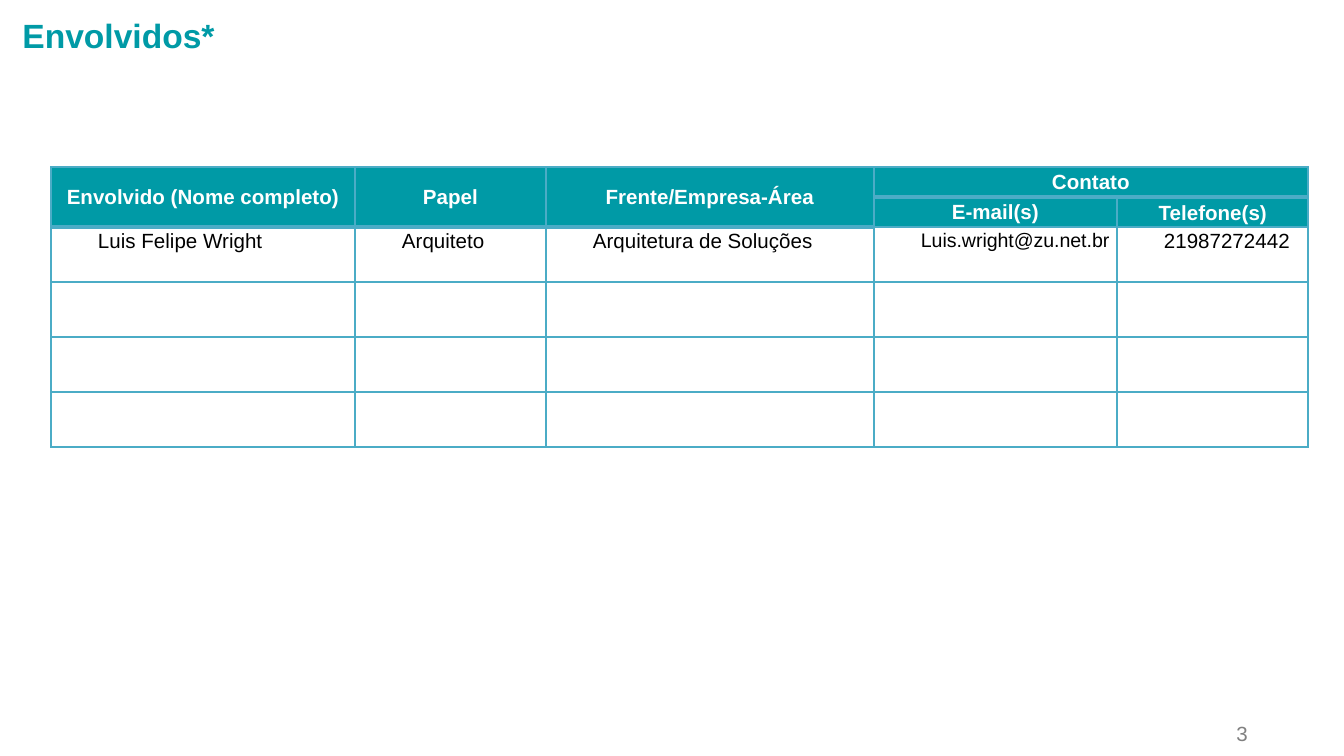
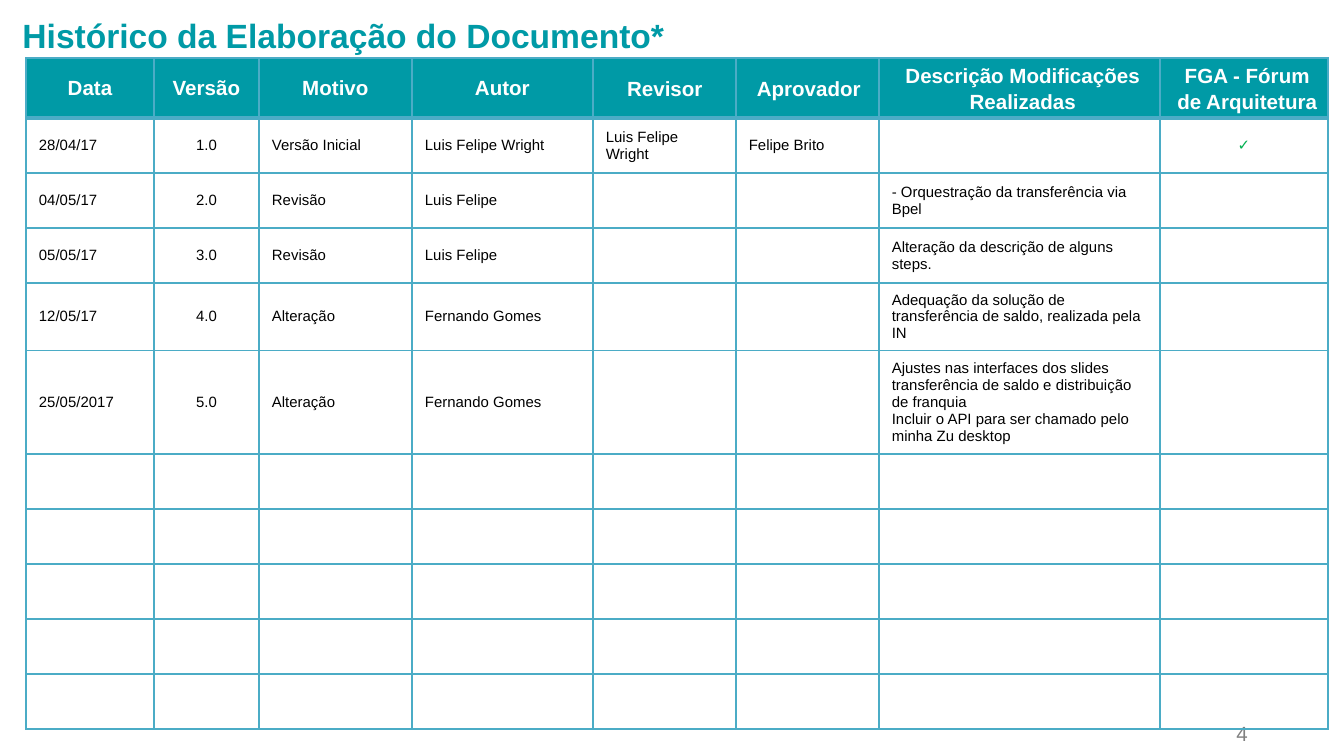
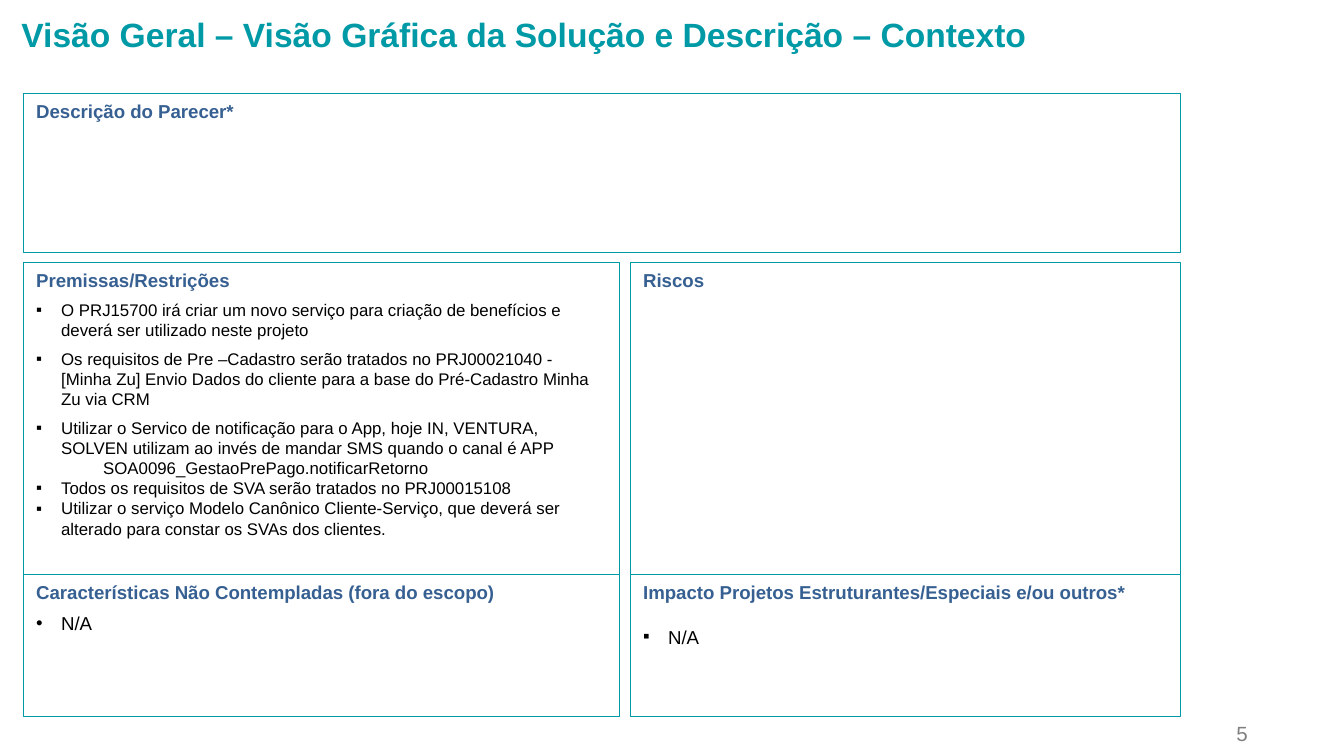
"""Builds three slides of a solution document: people involved, history and overview."""
import pptx
import pptx.dml.color
import pptx.enum.shapes
import pptx.enum.text
import pptx.oxml.ns
import pptx.util
from lxml import etree

PX = 914400 / 134.4
SLIDE_SIZE = (1344, 756)
FONT = "Arial"
TEAL, GRID, NAVY = "009AA6", "4BACC6", "376092"
BLACK, WHITE, GREY, GREEN = "000000", "FFFFFF", "808080", "00B050"
ALIGN = pptx.enum.text.PP_ALIGN
ANCHOR = pptx.enum.text.MSO_ANCHOR
HEADER_ROW, BODY_ROW = 30, 55
TIGHT = (7, 0, 7, 0)
NORMAL = (13, 7, 13, 7)

PEOPLE_TITLE = "Envolvidos*"
PEOPLE_COLUMNS = (304, 191, 328, 243, 191)
PEOPLE_HEADINGS = ["Envolvido (Nome completo)", "Papel", "Frente/Empresa-Área", "Contato"]
CONTACT_HEADINGS = [("E-mail(s)", 0, None), ("Telefone(s)", 1, 1.15)]
PERSON = [
    ("Luis Felipe Wright", 11),
    ("Arquiteto", 11),
    ("Arquitetura de Soluções", 11),
    ("Luis.wright@zu.net.br", 10.5),
    ("21987272442", 11),
]
PEOPLE_EMPTY_ROWS = 3

HISTORY_TITLE = "Histórico da Elaboração do Documento*"
HISTORY_COLUMNS = [
    ("Data", 128, 0, None),
    ("Versão", 105, 0, None),
    ("Motivo", 153, 0, None),
    ("Autor", 181, 0, None),
    ("Revisor", 143, 1, 1.15),
    ("Aprovador", 143, 3, 1.15),
    ("Descrição Modificações Realizadas", 281, 7, 1.15),
    ("FGA - Fórum de Arquitetura", 168, 7, 1.15),
]
CENTRED_COLUMNS = (1, 7)
VERSIONS = [
    ("28/04/17", "1.0", "Versão Inicial", "Luis Felipe Wright", "Luis Felipe Wright",
     "Felipe Brito", "", "✓"),
    ("04/05/17", "2.0", "Revisão", "Luis Felipe", "", "",
     "- Orquestração da transferência via Bpel", ""),
    ("05/05/17", "3.0", "Revisão", "Luis Felipe", "", "",
     "Alteração da descrição de alguns steps.", ""),
    ("12/05/17", "4.0", "Alteração", "Fernando Gomes", "", "",
     "Adequação da solução de transferência de saldo, realizada pela IN", ""),
    ("25/05/2017", "5.0", "Alteração", "Fernando Gomes", "", "",
     "Ajustes nas interfaces dos slides transferência de saldo e distribuição de franquia\n"
     "Incluir o API para ser chamado pelo minha Zu desktop", ""),
]
HISTORY_EMPTY_ROWS = 5

OVERVIEW_TITLE = "Visão Geral – Visão Gráfica da Solução e Descrição – Contexto"
PANEL_LEFT, PANEL_RIGHT, PANEL_SPLIT, PANEL_GAP = 23, 1180, 619, 11
PANEL_ROWS = [(93, 159), (262, 312), (574, 142)]
PREMISES = [
    ("O PRJ15700 irá criar um novo serviço para criação de benefícios e deverá ser "
     "utilizado neste projeto", "▪", 9, 4.5),
    ("Os requisitos de Pre –Cadastro serão tratados no PRJ00021040 - [Minha Zu] Envio "
     "Dados do cliente para a base do Pré-Cadastro Minha Zu via CRM", "▪", 9, 4.5),
    ("Utilizar o Servico de notificação para o App, hoje IN, VENTURA, SOLVEN utilizam ao "
     "invés de mandar SMS quando o canal é APP", "▪", 9, 4.5),
    ("SOA0096_GestaoPrePago.notificarRetorno", None, 9, 0),
    ("Todos os requisitos de SVA serão tratados no PRJ00015108", "▪", 9, 0),
    ("Utilizar o serviço Modelo Canônico Cliente-Serviço, que deverá ser alterado para "
     "constar os SVAs dos clientes.", "▪", 9, 0),
]
PANELS = [
    (0, "full", "Descrição do Parecer*", []),
    (1, "left", "Premissas/Restrições", PREMISES),
    (1, "right", "Riscos", []),
    (2, "left", "Características Não Contempladas (fora do escopo)", [("N/A", "•", 10, 5)]),
    (2, "right", "Impacto Projetos Estruturantes/Especiais e/ou outros*", [("N/A", "▪", 10, 12)]),
]


def px(length):
    return pptx.util.Emu(round(length * PX))


def box(*lengths):
    return [px(length) for length in lengths]


def rgb(value):
    return pptx.dml.color.RGBColor.from_string(value)


def sub(parent, tag, **attributes):
    return etree.SubElement(parent, pptx.oxml.ns.qn(tag), **attributes)


def style(paragraph, size, color, bold=False, align=ALIGN.LEFT, spacing=None, before=0,
          indent=0, hanging=0, bullet=None):
    paragraph.alignment = align
    if spacing:
        paragraph.line_spacing = spacing
    if before:
        paragraph.space_before = pptx.util.Pt(before)
    properties = paragraph._p.get_or_add_pPr()
    if indent:
        properties.set("marL", str(px(indent)))
        properties.set("indent", str(px(-hanging)))
    if bullet:
        sub(properties, "a:buFont", typeface=FONT)
        sub(properties, "a:buChar", char=bullet)
    for run in paragraph.runs:
        run.font.name = FONT
        run.font.size = pptx.util.Pt(size)
        run.font.bold = bold
        run.font.color.rgb = rgb(color)


def add_slide(deck, title, number, title_box):
    layout = next(entry for entry in deck.slide_layouts if entry.name == "Title Only")
    slide = deck.slides.add_slide(layout)
    heading = slide.shapes.title
    heading.left, heading.top, heading.width, heading.height = box(*title_box)
    heading.text_frame.text = title
    heading.text_frame.word_wrap = True
    heading.text_frame.auto_size = pptx.enum.text.MSO_AUTO_SIZE.SHAPE_TO_FIT_TEXT
    heading.text_frame.vertical_anchor = ANCHOR.TOP
    style(heading.text_frame.paragraphs[0], 18, TEAL, bold=True)
    page = slide.shapes.add_textbox(*box(1137, 716, 124, 39)).text_frame
    page.word_wrap = True
    page.vertical_anchor = ANCHOR.MIDDLE
    page.text = str(number)
    style(page.paragraphs[0], 11, GREY, align=ALIGN.RIGHT, spacing=0.8)
    return slide


def add_grid(slide, left, top, widths, heights):
    frame = slide.shapes.add_table(len(heights), len(widths),
                                   *box(left, top, sum(widths), sum(heights)))
    table = frame.table
    table.first_row = table.horz_banding = False
    for column, width in zip(table.columns, widths):
        column.width = px(width)
    for row, height in zip(table.rows, heights):
        row.height = px(height)
    for cell in table.iter_cells():
        for side in "LRTB":
            line = sub(cell._tc.get_or_add_tcPr(), f"a:ln{side}", w=str(pptx.util.Pt(1)))
            sub(sub(line, "a:solidFill"), "a:srgbClr", val=GRID)
        cell.fill.background()
    return table


def fill_cell(cell, text, size, color=BLACK, insets=NORMAL, anchor=ANCHOR.MIDDLE, **look):
    (cell.margin_left, cell.margin_top,
     cell.margin_right, cell.margin_bottom) = box(*insets)
    cell.vertical_anchor = anchor
    cell.text_frame.text = text
    for paragraph in cell.text_frame.paragraphs:
        style(paragraph, size, color, **look)


def fill_heading(cell, text, indent=0, spacing=None, bottom=1):
    fill_cell(cell, text, 11, WHITE, TIGHT, bold=True, align=ALIGN.CENTER,
              indent=indent, spacing=spacing)
    cell.fill.solid()
    cell.fill.fore_color.rgb = rgb(TEAL)
    edge = cell._tc.tcPr.find(pptx.oxml.ns.qn("a:lnB"))
    edge.set("w", str(pptx.util.Pt(bottom)))


def build_people(deck):
    slide = add_slide(deck, PEOPLE_TITLE, 3, (9, 8, 864, 54))
    heights = [HEADER_ROW] * 2 + [BODY_ROW] * (1 + PEOPLE_EMPTY_ROWS)
    table = add_grid(slide, 51, 167, PEOPLE_COLUMNS, heights)
    contact = len(PEOPLE_HEADINGS) - 1
    for column in range(len(PEOPLE_COLUMNS)):
        for row in range(2):
            fill_heading(table.cell(row, column), "")
    for column, heading in enumerate(PEOPLE_HEADINGS):
        fill_heading(table.cell(0, column), heading, bottom=2)
        end = (0, column + 1) if column == contact else (1, column)
        table.cell(0, column).merge(table.cell(*end))
    for column, heading in enumerate(CONTACT_HEADINGS, contact):
        fill_heading(table.cell(1, column), *heading)
    for column, (text, size) in enumerate(PERSON):
        fill_cell(table.cell(2, column), text, size, insets=TIGHT, anchor=ANCHOR.TOP,
                  indent=40, spacing=1.15)


def build_history(deck):
    slide = add_slide(deck, HISTORY_TITLE, 4, (9, 8, 864, 54))
    widths = [width for _, width, _, _ in HISTORY_COLUMNS]
    heights = [2 * HEADER_ROW] + [BODY_ROW] * (len(VERSIONS) + HISTORY_EMPTY_ROWS)
    table = add_grid(slide, 26, 58, widths, heights)
    for column, (heading, _, indent, spacing) in enumerate(HISTORY_COLUMNS):
        fill_heading(table.cell(0, column), heading, indent, spacing, bottom=2)
    for row, version in enumerate(VERSIONS, 1):
        for column, text in enumerate(version):
            fill_cell(table.cell(row, column), text, 8, GREEN if text == "✓" else BLACK,
                      align=ALIGN.CENTER if column in CENTRED_COLUMNS else ALIGN.LEFT)


def build_overview(deck):
    slide = add_slide(deck, OVERVIEW_TITLE, 5, (8, 7, 1183, 54))
    spans = {
        "full": (PANEL_LEFT, PANEL_RIGHT),
        "left": (PANEL_LEFT, PANEL_SPLIT),
        "right": (PANEL_SPLIT + PANEL_GAP, PANEL_RIGHT),
    }
    for row, span, heading, items in PANELS:
        left, right = spans[span]
        top, height = PANEL_ROWS[row]
        panel = slide.shapes.add_shape(pptx.enum.shapes.MSO_SHAPE.RECTANGLE,
                                       *box(left, top, right - left, height))
        panel.shadow.inherit = False
        panel.fill.background()
        panel.line.color.rgb = rgb(TEAL)
        panel.line.width = pptx.util.Pt(0.25)
        content = panel.text_frame
        content.word_wrap = True
        content.vertical_anchor = ANCHOR.TOP
        content.text = "\n".join([heading] + [item[0] for item in items])
        style(content.paragraphs[0], 10, NAVY, bold=True)
        for paragraph, (_, bullet, size, before) in zip(content.paragraphs[1:], items):
            indent, hanging = (25, 25) if bullet else (67, 0)
            style(paragraph, size, BLACK, before=before, indent=indent,
                  hanging=hanging, bullet=bullet)


def main():
    deck = pptx.Presentation()
    deck.slide_width, deck.slide_height = box(*SLIDE_SIZE)
    build_people(deck)
    build_history(deck)
    build_overview(deck)
    deck.save("out.pptx")


if __name__ == "__main__":
    main()
